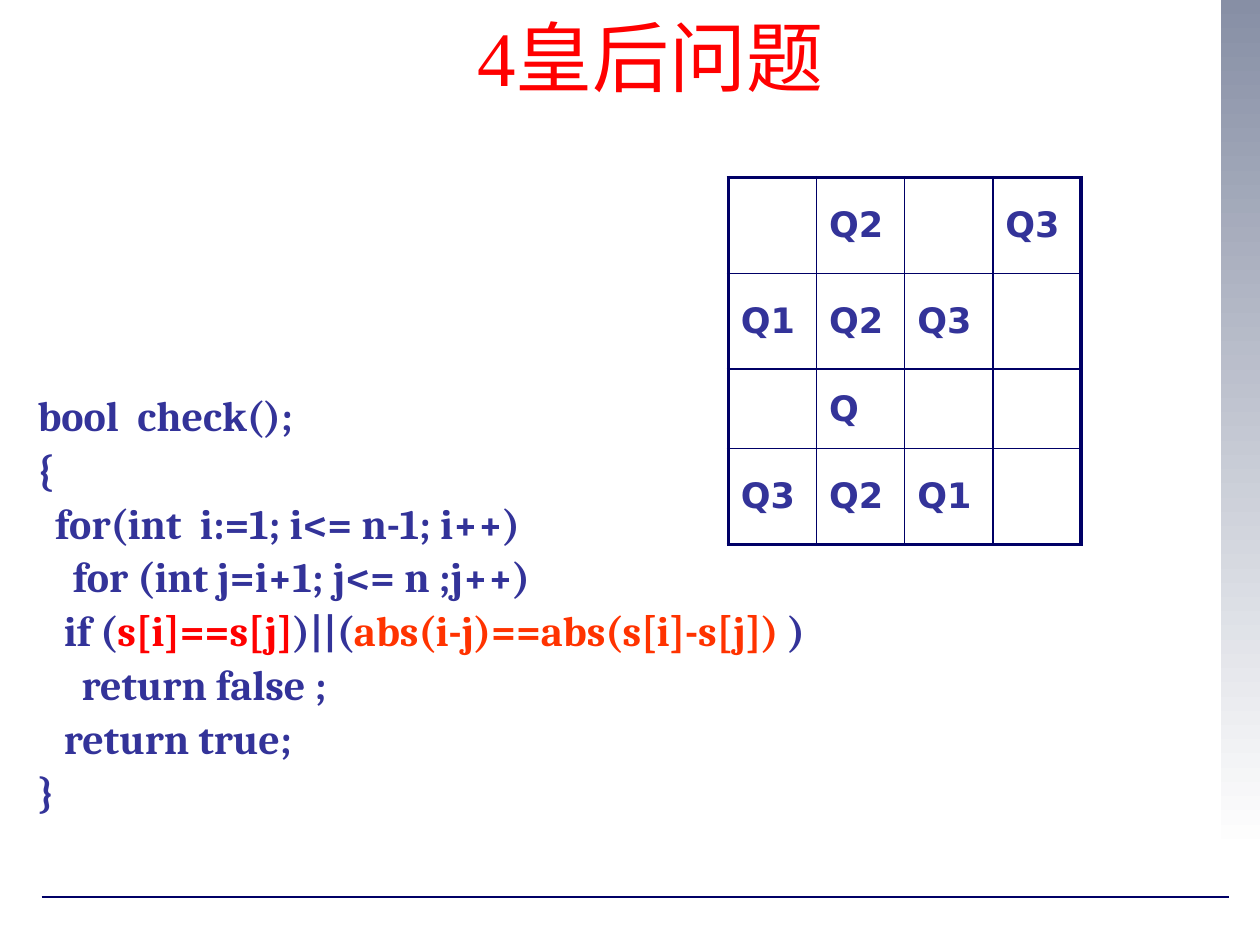
from lxml import etree
from pptx import Presentation, util as u
from pptx.dml.color import RGBColor
from pptx.enum import shapes, text
from pptx.oxml.ns import qn

COLORS = {"navy": "000066", "ink": "333399", "red": "FF0000",
          "orange": "FF3300", "steel": "878FA5", "white": "FFFFFF"}
TITLE = "4皇后问题"
BOARD = [["", "Q2", "", "Q3"],
         ["Q1", "Q2", "Q3", ""],
         ["", "Q", "", ""],
         ["Q3", "Q2", "Q1", ""]]
ROW_HEIGHTS = [0.76, 0.76, 0.63, 0.76]
COLUMN_WIDTH = 0.7
CODE = [(0, [("bool  check();", "ink")]),
        (0, [("{", "ink")]),
        (2, [("for(int  i:=1; i<= n-1; i++)", "ink")]),
        (4, [("for (int j=i+1; j<= n ;j++)", "ink")]),
        (3, [("if (", "ink"), ("s[i]==s[j]", "red"), (")||(", "ink"),
             ("abs(i-j)==abs(s[i]-s[j])", "orange"), (" )", "ink")]),
        (5, [("return false ;", "ink")]),
        (3, [("return true;", "ink")]),
        (0, [("}", "ink")])]
INDENT_STEP = 0.07
FORMATS = {"title": {"name": "Times New Roman", "size": u.Pt(44), "bold": False},
           "queen": {"name": "DejaVu Sans", "size": u.Pt(20), "bold": True},
           "code": {"name": "Cambria", "size": u.Pt(24), "bold": True}}


def rgb(color):
    return RGBColor.from_string(COLORS[color])


def box(*lengths):
    return [u.Inches(length) for length in lengths]


def add_run(paragraph, words, style, color):
    run = paragraph.add_run()
    run.text = words
    for key, value in FORMATS[style].items():
        setattr(run.font, key, value)
    run.font.color.rgb = rgb(color)


def space_before(paragraph, percent):
    before = etree.SubElement(paragraph._p.get_or_add_pPr(), qn("a:spcBef"))
    etree.SubElement(before, qn("a:spcPct"), val=str(percent * 1000))


def add_border(cell, side, points):
    line = etree.SubElement(cell._tc.get_or_add_tcPr(), qn(f"a:ln{side}"),
                            w=str(u.Pt(points)))
    fill = etree.SubElement(line, qn("a:solidFill"))
    etree.SubElement(fill, qn("a:srgbClr"), val=COLORS["navy"])


def add_backdrop(slide):
    band = slide.shapes.add_shape(shapes.MSO_SHAPE.RECTANGLE, *box(9.69, 0, 0.31, 6.77))
    band.shadow.inherit = False
    band.line.fill.background()
    band.fill.gradient()
    band.fill.gradient_angle = 270
    for stop, color, position in zip(band.fill.gradient_stops, ("steel", "white"), (0, 1)):
        stop.color.rgb = rgb(color)
        stop.position = position
    rule = slide.shapes.add_connector(shapes.MSO_CONNECTOR.STRAIGHT,
                                      *box(0.33, 7.12, 9.75, 7.12))
    rule.line.color.rgb = rgb("navy")
    rule.line.width = u.Pt(0.75)
    etree.SubElement(rule._element.spPr, qn("a:effectLst"))


def add_title(slide):
    title = slide.shapes.title
    title.left, title.top, title.width, title.height = box(1.25, 0.12, 7.83, 0.65)
    frame = title.text_frame
    frame.auto_size = text.MSO_AUTO_SIZE.NONE
    frame.vertical_anchor = text.MSO_ANCHOR.MIDDLE
    frame.paragraphs[0].alignment = text.PP_ALIGN.CENTER
    add_run(frame.paragraphs[0], TITLE, "title", "red")


def add_board(slide):
    last = len(BOARD) - 1
    board = slide.shapes.add_table(
        len(BOARD), len(BOARD), *box(5.78, 1.41, COLUMN_WIDTH * len(BOARD),
                                     sum(ROW_HEIGHTS))).table
    board.first_row = board.horz_banding = False
    for column in board.columns:
        column.width = u.Inches(COLUMN_WIDTH)
    for r, (height, queens) in enumerate(zip(ROW_HEIGHTS, BOARD)):
        board.rows[r].height = u.Inches(height)
        for c, queen in enumerate(queens):
            cell = board.cell(r, c)
            cell.vertical_anchor = text.MSO_ANCHOR.MIDDLE
            outer = {"L": c == 0, "R": c == last, "T": r == 0, "B": r == last}
            for side, is_outer in outer.items():
                add_border(cell, side, 2.25 if is_outer else 1)
            cell.fill.background()
            if queen:
                paragraph = cell.text_frame.paragraphs[0]
                space_before(paragraph, 20)
                add_run(paragraph, queen, "queen", "ink")


def add_code(slide):
    frame = slide.shapes.add_textbox(*box(0.2, 3.09, 8.36, 4.84)).text_frame
    frame.word_wrap = True
    for number, (depth, parts) in enumerate(CODE):
        paragraph = frame.add_paragraph() if number else frame.paragraphs[0]
        paragraph.line_spacing = 0.9
        space_before(paragraph, 20)
        paragraph._p.get_or_add_pPr().set("marL", str(u.Inches(depth * INDENT_STEP)))
        for words, color in parts:
            add_run(paragraph, words, "code", color)


def main():
    deck = Presentation()
    deck.slide_width, deck.slide_height = box(10, 7.5)
    slide = deck.slides.add_slide(deck.slide_layouts[5])
    add_backdrop(slide)
    add_title(slide)
    add_board(slide)
    add_code(slide)
    deck.save("out.pptx")


if __name__ == "__main__":
    main()
